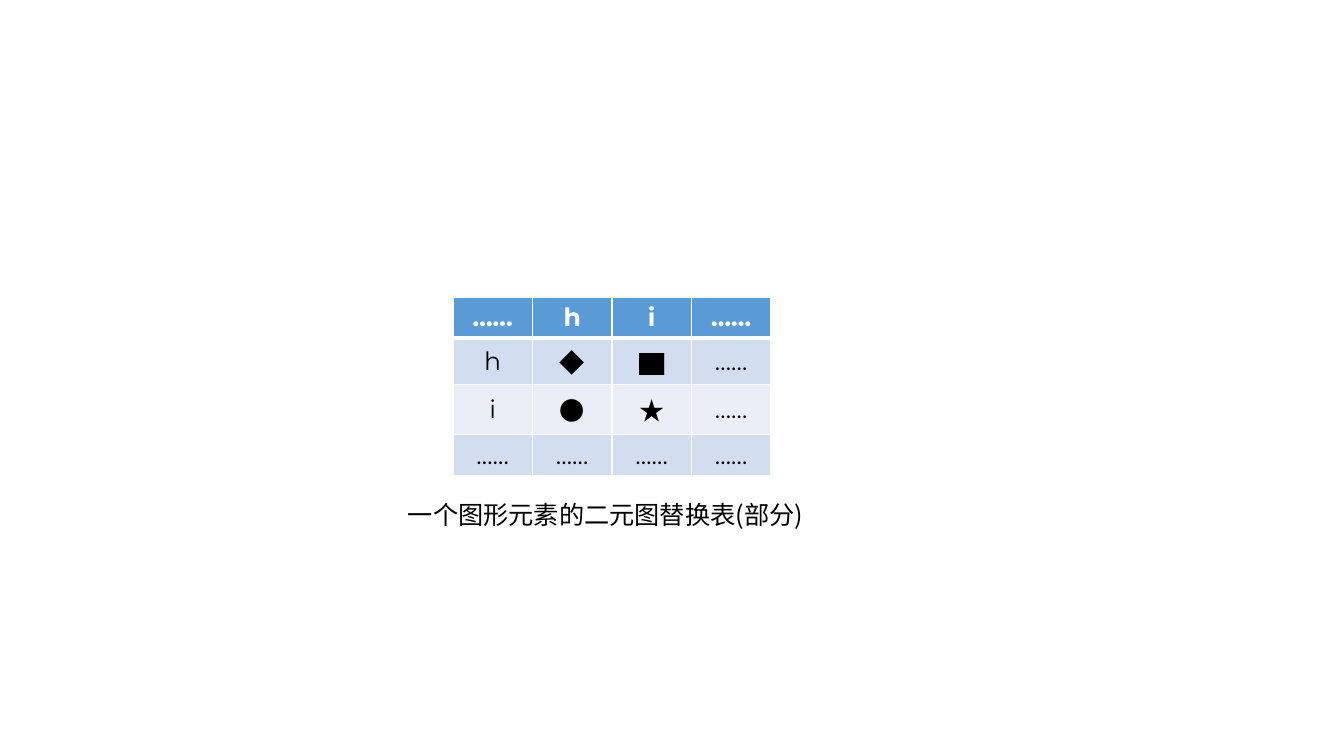
from dataclasses import dataclass

from lxml import etree
from pptx import Presentation
from pptx import util as u
from pptx.dml.color import RGBColor
from pptx.enum import text
from pptx.oxml.ns import qn

EMU_PER_PIXEL = 914400 / 100.8


@dataclass(frozen=True)
class Theme:
    white: str = "FFFFFF"
    black: str = "000000"
    header: str = "5B9BD5"
    bands: tuple = ("D2DEEF", "EAEFF7")
    latin: str = "Montserrat"
    chinese: str = "Noto Sans CJK SC"
    size: int = 18
    thin: int = 1
    thick: int = 3


THEME = Theme()
DOTS = "……"
SYMBOLS = "◆▇●★"
SUBSTITUTIONS = [
    [DOTS, "h", "i", DOTS],
    ["h", "◆", "▇", DOTS],
    ["i", "●", "★", DOTS],
    [DOTS] * 4,
]
ROW_HEIGHTS = [41, 41, 50, 41]
COLUMN_WIDTH = 79.5


def px(length):
    return u.Emu(round(length * EMU_PER_PIXEL))


def write(frame, words, font=THEME.latin, color=THEME.black, bold=False,
          align=text.PP_ALIGN.LEFT):
    paragraph = frame.paragraphs[0]
    paragraph.alignment = align
    run = paragraph.add_run()
    run.text = words
    run.font.size = u.Pt(THEME.size)
    run.font.name = font
    run.font.bold = bold
    run.font.color.rgb = RGBColor.from_string(color)
    east_asian = etree.SubElement(run.font._element, qn("a:ea"))
    east_asian.set("typeface", font)


def add_borders(cell, bottom, top):
    properties = cell._tc.get_or_add_tcPr()
    widths = {"lnL": THEME.thin, "lnR": THEME.thin, "lnT": top, "lnB": bottom}
    for side, width in widths.items():
        border = etree.SubElement(properties, qn(f"a:{side}"), w=str(u.Pt(width)))
        paint = etree.SubElement(border, qn("a:solidFill"))
        etree.SubElement(paint, qn("a:srgbClr"), val=THEME.white)


def fill_cell(cell, words, row):
    is_header = row == 0
    add_borders(cell, bottom=THEME.thick if is_header else THEME.thin,
                top=THEME.thick if row == 1 else THEME.thin)
    cell.fill.solid()
    background = THEME.header if is_header else THEME.bands[(row - 1) % 2]
    cell.fill.fore_color.rgb = RGBColor.from_string(background)
    cell.vertical_anchor = text.MSO_ANCHOR.MIDDLE
    write(cell.text_frame, words,
          font=THEME.chinese if words in SYMBOLS else THEME.latin,
          color=THEME.white if is_header else THEME.black,
          bold=is_header, align=text.PP_ALIGN.CENTER)


def add_substitution_table(slide, left, top):
    columns = len(SUBSTITUTIONS[0])
    table = slide.shapes.add_table(
        len(SUBSTITUTIONS), columns, px(left), px(top),
        px(COLUMN_WIDTH * columns), px(sum(ROW_HEIGHTS))).table
    for column in table.columns:
        column.width = px(COLUMN_WIDTH)
    for row, (height, entries) in enumerate(zip(ROW_HEIGHTS, SUBSTITUTIONS)):
        table.rows[row].height = px(height)
        for column, words in enumerate(entries):
            fill_cell(table.cell(row, column), words, row)


def add_caption(slide, words, left, top, width, height):
    frame = slide.shapes.add_textbox(
        px(left), px(top), px(width), px(height)).text_frame
    frame.word_wrap = True
    write(frame, words, font=THEME.chinese)


def main():
    deck = Presentation()
    deck.slide_width, deck.slide_height = px(1344), px(756)
    slide = deck.slides.add_slide(deck.slide_layouts[6])
    add_substitution_table(slide, 453, 297)
    add_caption(slide, "一个图形元素的二元图替换表(部分)", 398, 494, 417, 40)
    deck.save("out.pptx")


main()
